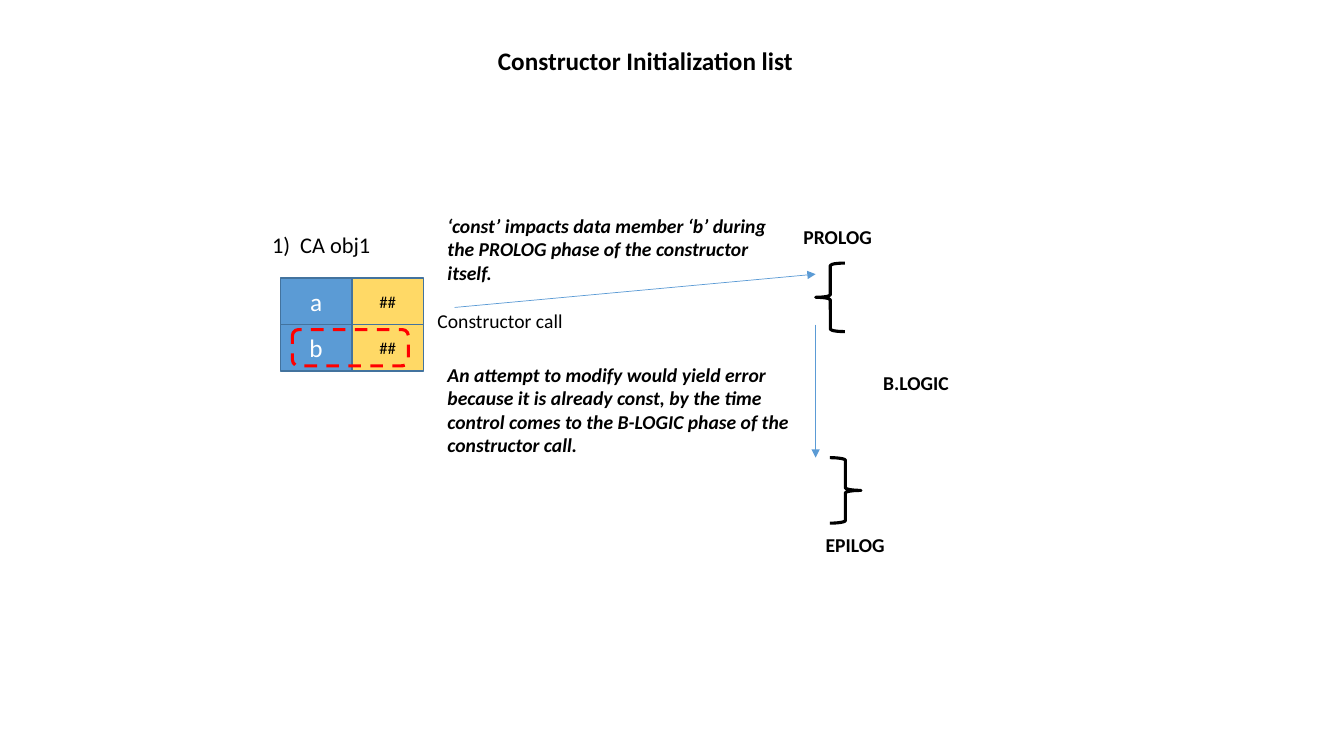
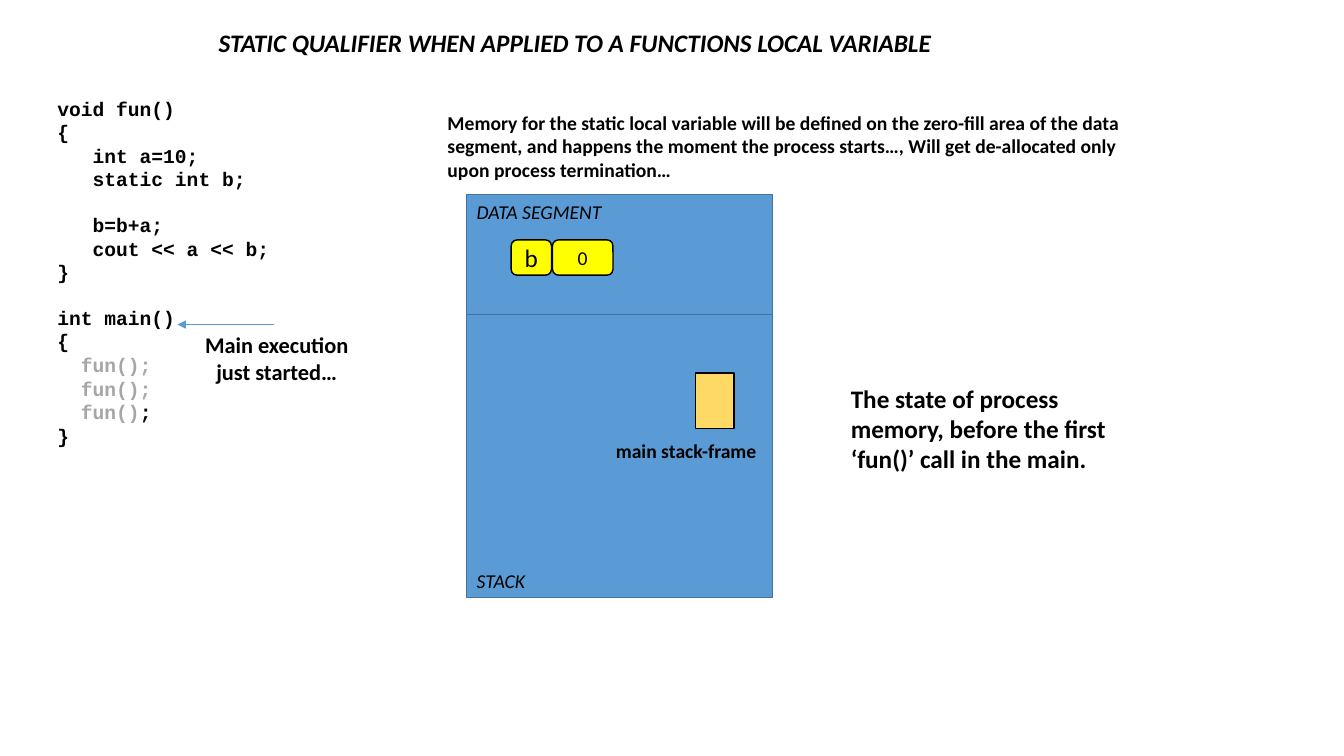
from pptx import Presentation
from pptx.dml.color import RGBColor
from pptx.enum.dml import MSO_LINE_DASH_STYLE as Dash
from pptx.enum.shapes import MSO_CONNECTOR as Connector, MSO_SHAPE as Preset
from pptx.enum.text import MSO_ANCHOR as Anchor, MSO_AUTO_SIZE as AutoSize, PP_ALIGN as Align
from pptx.oxml.ns import qn
from pptx.util import Inches, Pt
from lxml.etree import SubElement

# Shared look
BLACK, WHITE, GREY = "000000", "FFFFFF", "A6A6A6"
BLUE, EDGE, GOLD, YELLOW, RED = "5B9BD5", "43739E", "FFD966", "FFFF00", "FF0000"
BOLD, ITALIC = {"bold": True}, {"italic": True}
BOLD_ITALIC = BOLD | ITALIC
LINE_HEIGHT = 15.86  # points, one line of code
CODE_CHARACTER = 8.4  # points, one character of code

# Slide 1: text, place, size, style
CONSTRUCTOR_TITLE = ("Constructor Initialization list", (4.84, 0.4, 3.4, 0.4), 18, BOLD)
CONSTRUCTOR_TEXTS = [
    ("1)  CA obj1", (2.6, 2.24, 2.4, 0.37), 16, {}),
    ("Constructor call", (4.24, 3.02, 2.63, 0.34), 14, {}),
    ("PROLOG", (7.87, 2.18, 1.15, 0.34), 14, BOLD),
    ("B.LOGIC", (8.66, 3.63, 1.15, 0.34), 14, BOLD),
    ("EPILOG", (8.09, 5.24, 1.15, 0.34), 14, BOLD),
    ("‘const’ impacts data member ‘b’ during the PROLOG phase of the "
     "constructor itself.", (4.34, 2.07, 3.6, 0.81), 14, BOLD_ITALIC),
    ("An attempt to modify would yield error because it is already const, by the "
     "time control comes to the B-LOGIC phase of the constructor call.",
     (4.34, 3.55, 3.6, 1.04), 14, BOLD_ITALIC),
]
MEMBERS = [("a", "##"), ("b", "##")]
MEMBER_STYLES = [(BLUE, 18, WHITE), (GOLD, 12, BLACK)]
MEMBER_ORIGIN, MEMBER_CELL = (2.78, 2.76), (0.71, 0.46)
CONST_MARK = (2.9, 3.27, 1.15, 0.36)
BRACES = [(Preset.LEFT_BRACE, (8.09, 2.61, 0.29, 0.68)),
          (Preset.RIGHT_BRACE, (8.23, 4.54, 0.31, 0.65))]
CALL_ARROWS = [((4.51, 3.05), (8.09, 2.72)), ((8.09, 3.22), (8.09, 4.54))]

# Slide 2
STATIC_TITLE = ("STATIC QUALIFIER WHEN APPLIED TO A FUNCTIONS LOCAL VARIABLE",
                (2.07, 0.22, 7.43, 0.4), 18, BOLD_ITALIC)
STATIC_TEXTS = [
    ("Memory for the static local variable will be defined on the zero-fill area of "
     "the data segment, and happens the moment the process starts…, Will get "
     "de-allocated only upon process termination…", (4.34, 1.05, 7.16, 0.81), 14, BOLD),
    ("The state of process memory, before the first ‘fun()’ call in the main.",
     (8.34, 3.75, 3.16, 1.01), 18, BOLD),
    ("DATA SEGMENT", (4.63, 1.93, 1.69, 0.34), 14, ITALIC),
    ("STACK", (4.63, 5.59, 1.69, 0.34), 14, ITALIC),
    ("main stack-frame", (6.01, 4.31, 1.83, 0.34), 14, BOLD),
]
MAIN_NOTE = ("Main execution just started…", (1.76, 3.24, 1.97, 0.64), 16, BOLD)
CODE_PLACE = (0.47, 0.91, 2.8, 3.64)
# Indent in characters, empty lines before, runs of text and colour
CODE = [
    (0, 0, [("void fun()", BLACK)]),
    (0, 0, [("{", BLACK)]),
    (3, 0, [("int a=10;", BLACK)]),
    (3, 0, [("static int b;", BLACK)]),
    (3, 1, [("b=b+a;", BLACK)]),
    (3, 0, [("cout << a << b;", BLACK)]),
    (0, 0, [("}", BLACK)]),
    (0, 1, [("int main()", BLACK)]),
    (0, 0, [("{", BLACK)]),
    (2, 0, [("fun();", GREY)]),
    (2, 0, [("fun();", GREY)]),
    (2, 0, [("fun()", GREY), (";", BLACK)]),
    (0, 0, [("}", BLACK)]),
]
MEMORY_LEFT, MEMORY_TOP, MEMORY_WIDTH = 4.63, 1.93, 3.03
SEGMENT_HEIGHTS = [1.19, 2.81]
STATIC_TOP, STATIC_HEIGHT = 2.38, 0.35
STATIC_CELLS = [("b", 5.07, 0.4, 18), ("0", 5.48, 0.6, 14)]
MAIN_FRAME = (6.9, 3.7, 0.38, 0.55)
MAIN_ARROW = ((2.72, 3.22), (1.76, 3.22))


def color(value):
    """Turn a hex string into a colour."""
    return RGBColor.from_string(value)


def apply(target, formats):
    """Set each attribute named in formats on target."""
    for name, value in formats.items():
        setattr(target, name, value)


def add_run(paragraph, text, size, ink=BLACK, font="Calibri", **style):
    """Add one formatted run to a paragraph."""
    run = paragraph.add_run()
    run.text = text
    apply(run.font, {"name": font, "size": Pt(size), **style})
    run.font.color.rgb = color(ink)


def add_frame(slide, place):
    """Add an empty wrapping text box and return its text frame."""
    frame = slide.shapes.add_textbox(*map(Inches, place)).text_frame
    apply(frame, {"word_wrap": True, "auto_size": AutoSize.SHAPE_TO_FIT_TEXT})
    return frame


def add_text(slide, text, place, size, style, align=Align.LEFT):
    """Add a text box with one paragraph."""
    paragraph = add_frame(slide, place).paragraphs[0]
    paragraph.alignment = align
    add_run(paragraph, text, size, **style)


def add_box(slide, preset, place, fill=None, line=EDGE, width=1, dash=None):
    """Add a flat preset shape, filled or hollow."""
    shape = slide.shapes.add_shape(preset, *map(Inches, place))
    shape.shadow.inherit = False
    if fill:
        shape.fill.solid()
        shape.fill.fore_color.rgb = color(fill)
    else:
        shape.fill.background()
    shape.line.color.rgb = color(line)
    apply(shape.line, {"width": Pt(width), "dash_style": dash})
    return shape


def label(shape, text, size, ink=BLACK):
    """Centre a short text in a shape."""
    shape.text_frame.vertical_anchor = Anchor.MIDDLE
    paragraph = shape.text_frame.paragraphs[0]
    paragraph.alignment = Align.CENTER
    add_run(paragraph, text, size, ink)


def add_arrow(slide, start, end):
    """Add a thin blue arrow from start to end."""
    arrow = slide.shapes.add_connector(Connector.STRAIGHT, *map(Inches, start + end))
    arrow.line.color.rgb = color(BLUE)
    arrow.line.width = Pt(0.5)
    properties = arrow.element.spPr
    SubElement(properties.find(qn("a:ln")), qn("a:tailEnd"), type="triangle")
    SubElement(properties, qn("a:effectLst"))


def add_code(slide):
    """Add the listing, with indents and spacing in place of blanks."""
    frame = add_frame(slide, CODE_PLACE)
    for index, (indent, gap, runs) in enumerate(CODE):
        paragraph = frame.add_paragraph() if index else frame.paragraphs[0]
        paragraph.space_before = Pt(gap * LINE_HEIGHT)
        paragraph._p.get_or_add_pPr().set("marL", str(Pt(indent * CODE_CHARACTER)))
        for text, ink in runs:
            add_run(paragraph, text, 14, ink, "Courier New", **BOLD)


def start_slide(presentation, title):
    """Add a blank slide with its title."""
    slide = presentation.slides.add_slide(presentation.slide_layouts[6])
    add_text(slide, *title)
    return slide


def build_constructor(presentation):
    """Build the slide on the constructor phases."""
    slide = start_slide(presentation, CONSTRUCTOR_TITLE)
    (left, top), (width, height) = MEMBER_ORIGIN, MEMBER_CELL
    for row, member in enumerate(MEMBERS):
        for column, (text, (fill, size, ink)) in enumerate(zip(member, MEMBER_STYLES)):
            place = (left + column * width, top + row * height, width, height)
            label(add_box(slide, Preset.RECTANGLE, place, fill), text, size, ink)
    add_box(slide, Preset.ROUNDED_RECTANGLE, CONST_MARK, None, RED, 2.25, Dash.DASH)
    for preset, place in BRACES:
        add_box(slide, preset, place, None, BLACK, 2.25)
    for ends in CALL_ARROWS:
        add_arrow(slide, *ends)
    for item in CONSTRUCTOR_TEXTS:
        add_text(slide, *item)


def build_static(presentation):
    """Build the slide on static local variables."""
    slide = start_slide(presentation, STATIC_TITLE)
    add_code(slide)
    top = MEMORY_TOP
    for height in SEGMENT_HEIGHTS:
        add_box(slide, Preset.RECTANGLE, (MEMORY_LEFT, top, MEMORY_WIDTH, height), BLUE)
        top += height
    for text, left, width, size in STATIC_CELLS:
        place = (left, STATIC_TOP, width, STATIC_HEIGHT)
        label(add_box(slide, Preset.ROUNDED_RECTANGLE, place, YELLOW, BLACK), text, size)
    add_box(slide, Preset.RECTANGLE, MAIN_FRAME, GOLD, BLACK)
    add_arrow(slide, *MAIN_ARROW)
    for item in STATIC_TEXTS:
        add_text(slide, *item)
    add_text(slide, *MAIN_NOTE, align=Align.CENTER)


presentation = Presentation()
apply(presentation, {"slide_width": Inches(13.33), "slide_height": Inches(7.5)})
build_constructor(presentation)
build_static(presentation)
presentation.save("out.pptx")
